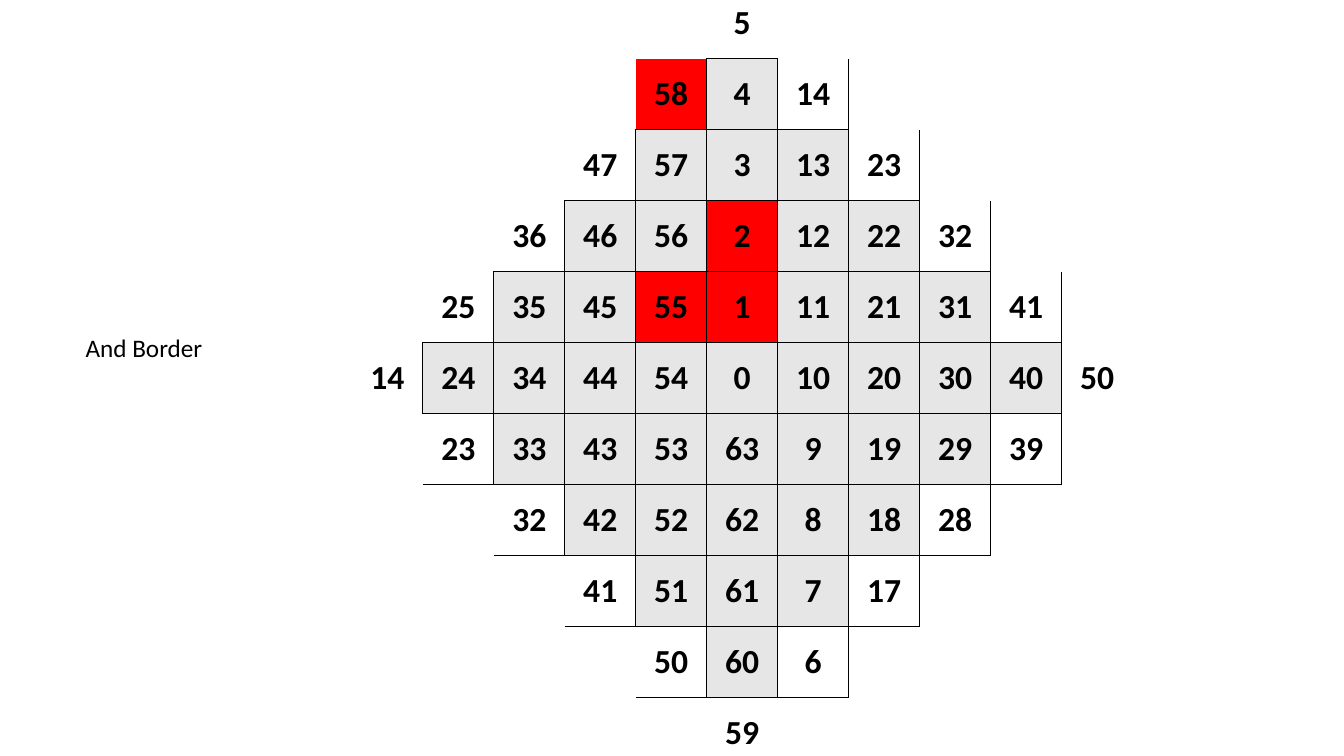
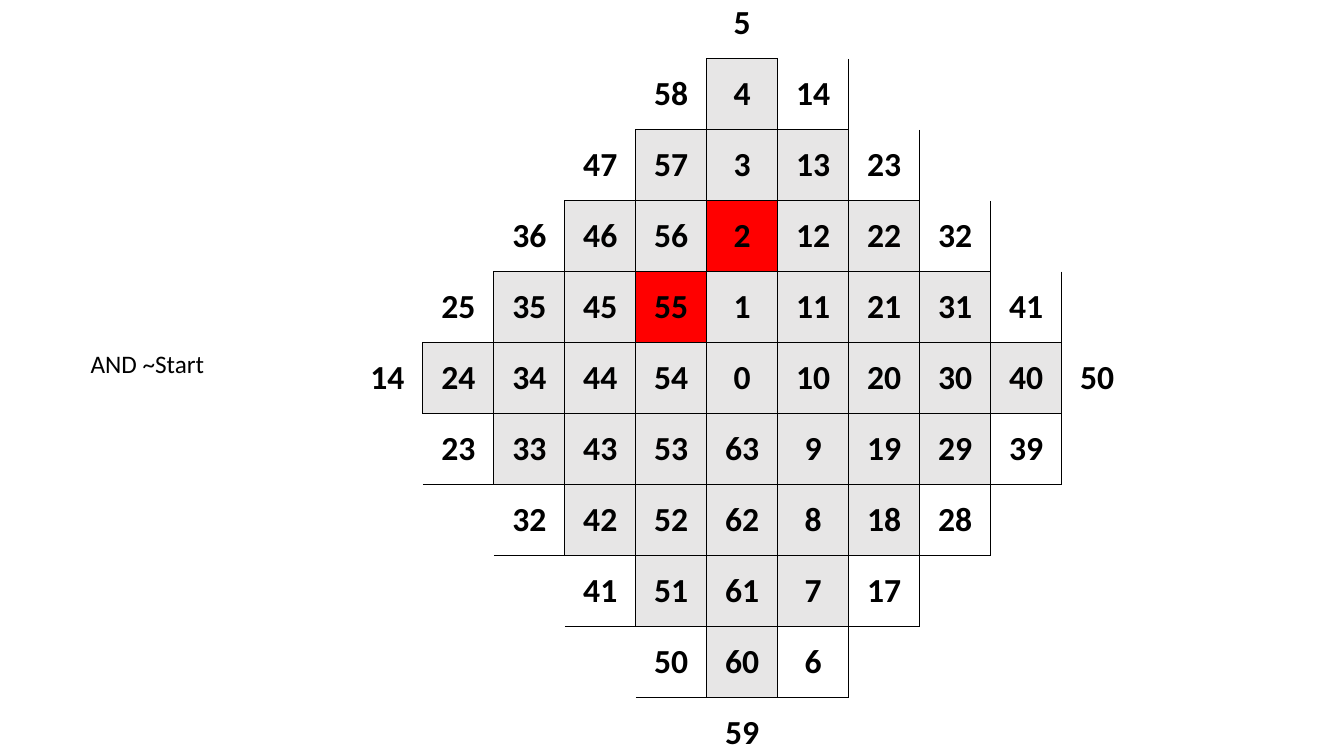
import dataclasses

import lxml.etree
import pptx
import pptx.dml.color
import pptx.enum.text
import pptx.oxml.ns
import pptx.slide
import pptx.table
import pptx.text.text
import pptx.util

BLACK = pptx.dml.color.RGBColor(0x00, 0x00, 0x00)
GRAY = pptx.dml.color.RGBColor(0xE7, 0xE6, 0xE6)
RED = pptx.dml.color.RGBColor(0xFF, 0x00, 0x00)
FONT = "Calibri"
NO_STYLE = "{2D5ABB26-0587-4C30-8999-92F81FD0307C}"

SLIDE_W = pptx.util.Inches(13.33)
SLIDE_H = pptx.util.Inches(7.5)
REACH = 4
COUNT = 2 * (REACH + 1) + 1
MODULUS = 64
COLUMN_STEP = 10
SIDES = {"a:lnL": (-1, 0), "a:lnR": (1, 0), "a:lnT": (0, 1), "a:lnB": (0, -1)}


@dataclasses.dataclass(frozen=True)
class Board:
    label: str
    left: float
    top: float
    width: float
    marked: frozenset[int]


BOARDS = (
    Board("And Border", 5.63, 43.33, 10.28, frozenset({1, 2, 55, 58})),
    Board("AND ~Start", 6, 45.47, 10.05, frozenset({2, 55})),
)


def across(percent: float) -> int:
    return round(SLIDE_W * percent / 100)


def down(percent: float) -> int:
    return round(SLIDE_H * percent / 100)


def is_inside(x: int, y: int) -> bool:
    return abs(x) + abs(y) <= REACH


def style_run(p: pptx.text.text._Paragraph, size: int, bold: bool) -> None:
    font = p.runs[0].font
    font.name = FONT
    font.size = pptx.util.Pt(size)
    font.bold = bold
    font.color.rgb = BLACK


def add_border(cell: pptx.table._Cell, tag: str) -> None:
    qn = pptx.oxml.ns.qn
    tc_pr = cell._tc.get_or_add_tcPr()
    line = lxml.etree.SubElement(tc_pr, qn(tag), w=str(pptx.util.Pt(1)))
    fill = lxml.etree.SubElement(line, qn("a:solidFill"))
    lxml.etree.SubElement(fill, qn("a:srgbClr"), val=str(BLACK))


def draw_cell(cell: pptx.table._Cell, x: int, y: int, marked: frozenset[int]) -> None:
    for tag, (dx, dy) in SIDES.items():
        if is_inside(x, y) or is_inside(x + dx, y + dy):
            add_border(cell, tag)
    value = (COLUMN_STEP * x + y) % MODULUS
    in_ring = abs(x) + abs(y) <= REACH + 1
    if in_ring and value in marked:
        cell.fill.solid()
        cell.fill.fore_color.rgb = RED
    elif is_inside(x, y):
        cell.fill.solid()
        cell.fill.fore_color.rgb = GRAY
    else:
        cell.fill.background()
    if in_ring:
        cell.vertical_anchor = pptx.enum.text.MSO_ANCHOR.MIDDLE
        p = cell.text_frame.paragraphs[0]
        p.text = str(value)
        p.alignment = pptx.enum.text.PP_ALIGN.CENTER
        style_run(p, 24, True)


def draw_grid(slide: pptx.slide.Slide, marked: frozenset[int]) -> None:
    side = down(103.3)
    sp = slide.shapes.add_table(COUNT, COUNT, across(26.18), down(-1.6), side, side)
    table = sp.table
    table.first_row = False
    table.horz_banding = False
    table._tbl.tblPr.find(pptx.oxml.ns.qn("a:tableStyleId")).text = NO_STYLE
    for row in range(COUNT):
        for column in range(COUNT):
            x, y = column - REACH - 1, REACH + 1 - row
            draw_cell(table.cell(row, column), x, y, marked)


def draw_label(slide: pptx.slide.Slide, board: Board) -> None:
    sp = slide.shapes.add_textbox(
        across(board.left), down(board.top), across(board.width), down(5.33)
    )
    tf = sp.text_frame
    tf.text = board.label
    tf.word_wrap = False
    tf.auto_size = pptx.enum.text.MSO_AUTO_SIZE.SHAPE_TO_FIT_TEXT
    style_run(tf.paragraphs[0], 18, False)


prs = pptx.Presentation()
prs.slide_width = SLIDE_W
prs.slide_height = SLIDE_H
for board in BOARDS:
    slide = prs.slides.add_slide(prs.slide_layouts[6])
    draw_grid(slide, board.marked)
    draw_label(slide, board)
prs.save("out.pptx")
